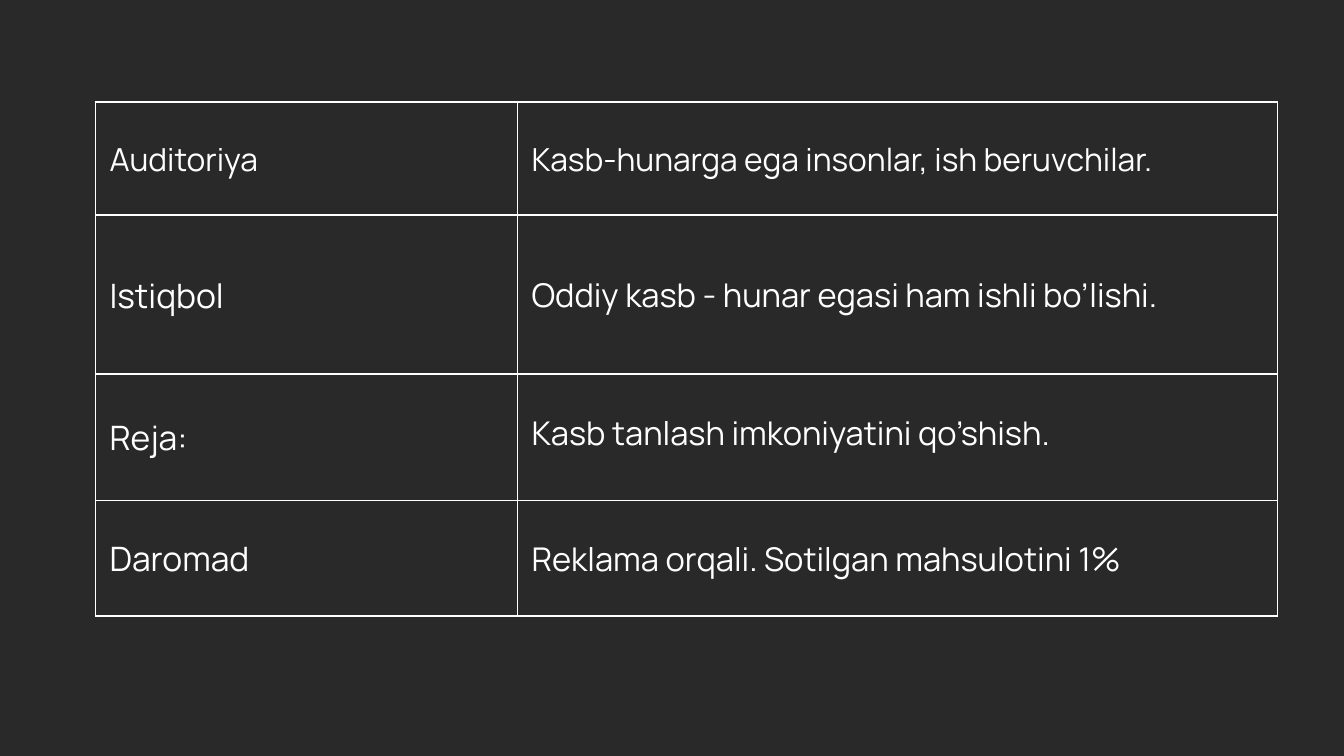
"""Build a dark slide with a bordered table of audience, outlook, plan and income."""
import pptx
import pptx.dml.color
import pptx.enum.text
import pptx.oxml
import pptx.oxml.ns
import pptx.util
from pptx.util import Inches

BACKGROUND = pptx.dml.color.RGBColor(0x29, 0x29, 0x29)
WHITE = pptx.dml.color.RGBColor(0xFF, 0xFF, 0xFF)
FONT = "Manrope"
LINE_RATIO = 1.4
CELL_MARGIN = 0.21
PLAN_BOTTOM_MARGIN = 0.37
BORDER_WIDTH = pptx.util.Pt(2)

column_widths = [6.28, 11.31]
rows = [
    (1.68, CELL_MARGIN, [("Auditoriya", 34), ("Kasb-hunarga ega insonlar, ish beruvchilar.", 34)]),
    (2.37, CELL_MARGIN, [("Istiqbol", 36), ("Oddiy kasb - hunar egasi ham ishli bo’lishi.", 35)]),
    (1.88, PLAN_BOTTOM_MARGIN, [("Reja:", 36), ("Kasb tanlash imkoniyatini qo’shish.", 35)]),
    (1.72, CELL_MARGIN, [("Daromad", 36), ("Reklama orqali. Sotilgan mahsulotini 1%", 35)]),
]


def add_borders(cell):
    """Draw a solid white line on all four sides of a cell."""
    properties = cell._tc.get_or_add_tcPr()
    for position, side in enumerate(("lnL", "lnR", "lnT", "lnB")):
        border = pptx.oxml.parse_xml(
            f'<a:{side} {pptx.oxml.ns.nsdecls("a")} w="{BORDER_WIDTH}">'
            f'<a:solidFill><a:srgbClr val="{WHITE}"/></a:solidFill></a:{side}>'
        )
        properties.insert(position, border)


presentation = pptx.Presentation()
presentation.slide_width = Inches(20)
presentation.slide_height = Inches(11.25)
slide = presentation.slides.add_slide(presentation.slide_layouts[6])
slide.background.fill.solid()
slide.background.fill.fore_color.rgb = BACKGROUND

table_height = sum(height for height, _, _ in rows)
table = slide.shapes.add_table(
    len(rows), len(column_widths),
    Inches(1.42), Inches(1.52), Inches(sum(column_widths)), Inches(table_height),
).table
table.first_row = False
table.horz_banding = False

for column, width in zip(table.columns, column_widths):
    column.width = Inches(width)

for row_index, (height, value_bottom_margin, entries) in enumerate(rows):
    table.rows[row_index].height = Inches(height)
    bottom_margins = (CELL_MARGIN, value_bottom_margin)
    for column_index, (text, size) in enumerate(entries):
        cell = table.cell(row_index, column_index)
        cell.fill.background()
        add_borders(cell)
        cell.vertical_anchor = pptx.enum.text.MSO_ANCHOR.MIDDLE
        cell.margin_left = cell.margin_right = cell.margin_top = Inches(CELL_MARGIN)
        cell.margin_bottom = Inches(bottom_margins[column_index])
        paragraph = cell.text_frame.paragraphs[0]
        paragraph.line_spacing = pptx.util.Pt(size * LINE_RATIO)
        run = paragraph.add_run()
        run.text = text
        run.font.name = FONT
        run.font.size = pptx.util.Pt(size)
        run.font.color.rgb = WHITE

presentation.save("out.pptx")
